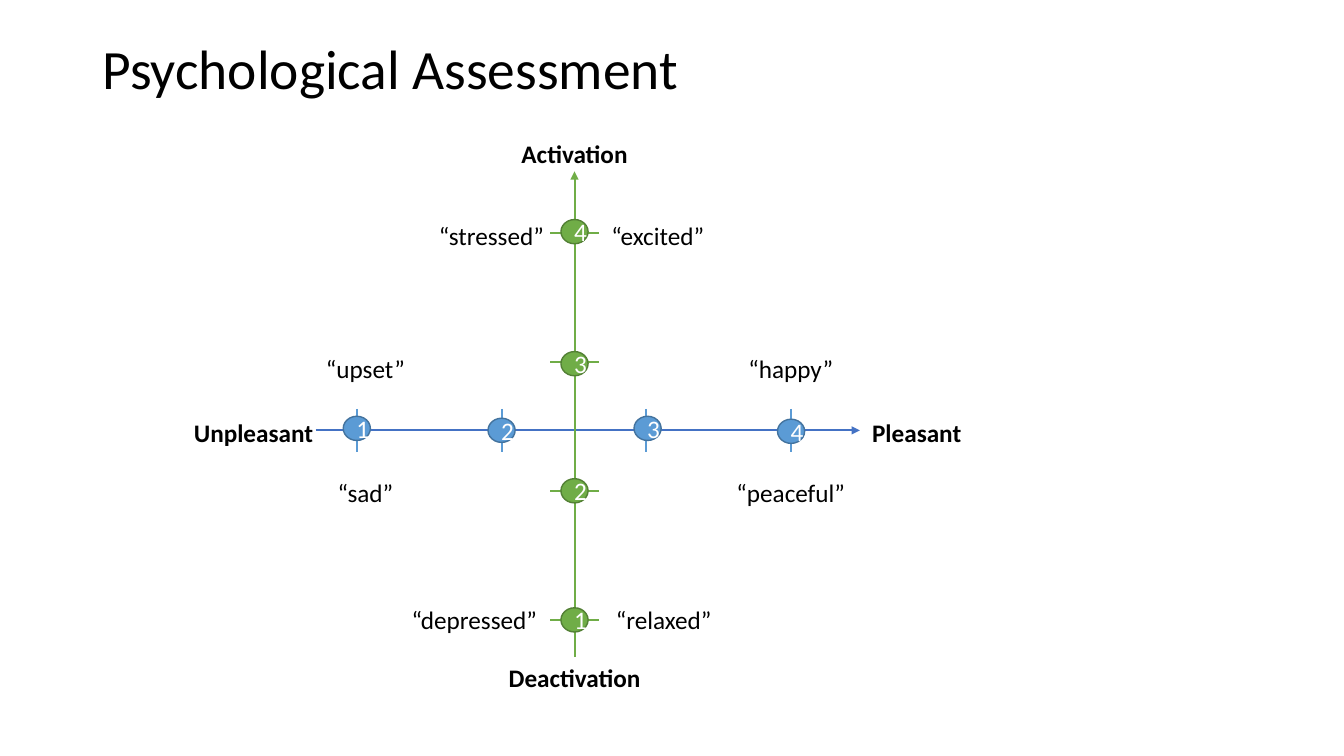
"""Builds the Psychological Assessment slide: two crossed rating axes with mood words."""
from dataclasses import dataclass

from pptx import Presentation
from pptx.dml.color import RGBColor
from pptx.enum import shapes, text
from pptx.oxml import ns, xmlchemy
from pptx.util import Pt


@dataclass(frozen=True)
class Theme:
    font: str = "Calibri"
    title_size: float = 39.6
    body_size: float = 18
    ink: str = "000000"
    digit: str = "FFFFFF"
    pleasure_axis: str = "4472C4"
    pleasure: str = "5B9BD5"
    pleasure_edge: str = "43739E"
    energy: str = "70AD47"
    energy_edge: str = "538035"


class Board:
    def __init__(self, slide, theme):
        self.slide = slide
        self.theme = theme

    def set_words(self, frame, words, size, color, align, bold=False):
        frame.word_wrap = True
        paragraph = frame.paragraphs[0]
        paragraph.text = words
        paragraph.alignment = align
        font = paragraph.font
        font.name, font.size, font.bold = self.theme.font, Pt(size), bold
        font.color.rgb = RGBColor.from_string(color)
        return paragraph

    def title(self, words, left, top, width, height):
        frame = self.slide.shapes.add_textbox(Pt(left), Pt(top), Pt(width), Pt(height)).text_frame
        frame.vertical_anchor = text.MSO_ANCHOR.MIDDLE
        paragraph = self.set_words(frame, words, self.theme.title_size, self.theme.ink, text.PP_ALIGN.LEFT)
        paragraph.line_spacing = 0.8

    def label(self, words, center, top, bold=False, width=108.7, height=25.2):
        box = self.slide.shapes.add_textbox(Pt(center - width / 2), Pt(top), Pt(width), Pt(height))
        self.set_words(box.text_frame, words, self.theme.body_size, self.theme.ink, text.PP_ALIGN.CENTER, bold)

    def line(self, x1, y1, x2, y2, color, arrow=False):
        stroke = self.slide.shapes.add_connector(
            shapes.MSO_CONNECTOR.STRAIGHT, Pt(x1), Pt(y1), Pt(x2), Pt(y2))
        stroke.line.color.rgb = RGBColor.from_string(color)
        stroke.line.width = Pt(1.5)
        properties = stroke.element.spPr
        if arrow:
            head = xmlchemy.OxmlElement("a:tailEnd")
            head.set("type", "triangle")
            properties.find(ns.qn("a:ln")).append(head)
        properties.append(xmlchemy.OxmlElement("a:effectLst"))

    def dot(self, digit, x, y, fill, edge, width=19.4, height=17.3):
        oval = self.slide.shapes.add_shape(
            shapes.MSO_SHAPE.OVAL, Pt(x - width / 2), Pt(y - height / 2), Pt(width), Pt(height))
        oval.shadow.inherit = False
        oval.fill.solid()
        oval.fill.fore_color.rgb = RGBColor.from_string(fill)
        oval.line.color.rgb = RGBColor.from_string(edge)
        oval.line.width = Pt(1)
        oval.text_frame.vertical_anchor = text.MSO_ANCHOR.MIDDLE
        self.set_words(oval.text_frame, digit, self.theme.body_size, self.theme.digit, text.PP_ALIGN.CENTER)


theme = Theme()
deck = Presentation()
deck.slide_width, deck.slide_height = Pt(960), Pt(540)
board = Board(deck.slides.add_slide(deck.slide_layouts[6]), theme)
board.title("Psychological Assessment", 66.2, 28.8, 828, 46.8)

AXIS_X, AXIS_Y = 410.4, 307.4
pleasure_ticks = [254.9 + 103.4 * step for step in range(4)]
energy_ticks = [442.8 - 92.2 * step for step in range(4)]

board.line(225.4, AXIS_Y, 614.2, AXIS_Y, theme.pleasure_axis, arrow=True)
for x in pleasure_ticks:
    board.line(x, AXIS_Y - 15.4, x, AXIS_Y + 15.4, theme.pleasure)
board.line(AXIS_X, 469.4, AXIS_X, 122.4, theme.energy, arrow=True)
for y in energy_ticks:
    board.line(AXIS_X - 17.3, y, AXIS_X + 17.3, y, theme.energy)

for words, center, top in [
    ("Activation", AXIS_X, 95),
    ("Deactivation", AXIS_X, 469.4),
    ("Pleasant", 654.8, 294.5),
    ("Unpleasant", 181.1, 294.5),
]:
    board.label(words, center, top, bold=True)

for top, left_word, left_center, right_word, right_center in [
    (154.1, "stressed", 351, "excited", 469.8),
    (249.1, "upset", 261, "happy", 564.8),
    (337.7, "sad", 261, "peaceful", 564.8),
    (428.4, "depressed", 338.8, "relaxed", 474.1),
]:
    board.label(f"“{left_word}”", left_center, top)
    board.label(f"“{right_word}”", right_center, top)

pleasure_nudges = [(0, -1.4), (0, 0), (0.9, -1.4), (0, 0.7)]
for rating, (x, (dx, dy)) in enumerate(zip(pleasure_ticks, pleasure_nudges), 1):
    board.dot(str(rating), x + dx, AXIS_Y + dy, theme.pleasure, theme.pleasure_edge)

energy_nudges = [0, 0, 1.4, -0.7]
for rating, (y, dy) in enumerate(zip(energy_ticks, energy_nudges), 1):
    board.dot(str(rating), AXIS_X, y + dy, theme.energy, theme.energy_edge)

deck.save("out.pptx")
